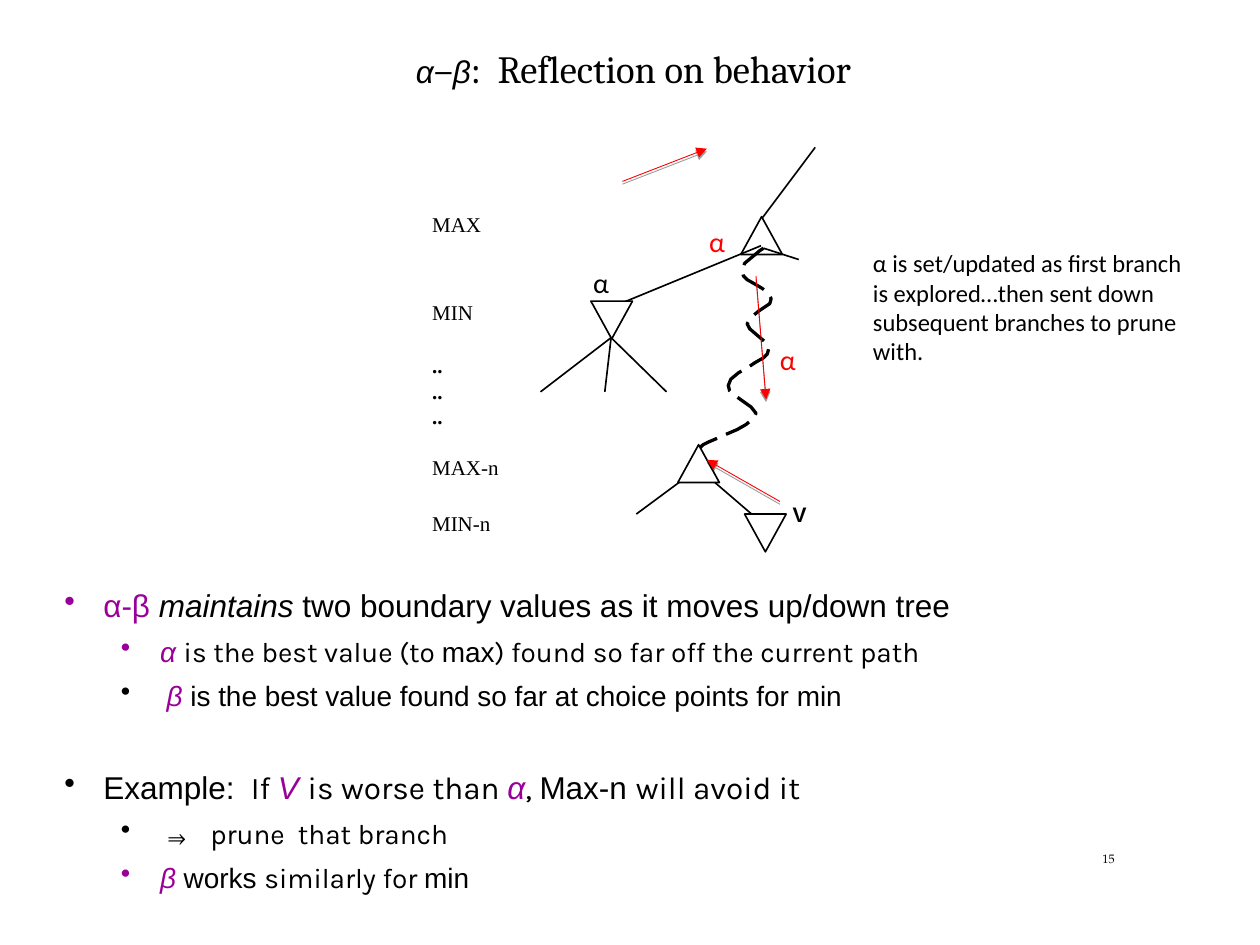
from pptx import Presentation
from pptx.dml.color import RGBColor
from pptx.enum.dml import MSO_LINE
from pptx.enum.shapes import MSO_CONNECTOR, MSO_SHAPE
from pptx.oxml import parse_xml
from pptx.oxml.ns import nsdecls
from pptx.util import Cm, Pt

BLACK = RGBColor(0x00, 0x00, 0x00)
WHITE = RGBColor(0xFF, 0xFF, 0xFF)
RED = RGBColor(0xFF, 0x00, 0x00)
PURPLE = RGBColor(0x99, 0x00, 0x99)

TRI_W, TRI_H = 0.33, 0.3
PADDED = (0.1, 0.05)


def inch(value):
    return Cm(2.54 * value)


def xml(body):
    """Parse a DrawingML element written without its namespace."""
    tag, rest = body.split(" ", 1)
    return parse_xml(f"{tag} {nsdecls('a')} {rest}")


def add_text(p, text, size=18, font="Arial", color=BLACK, italic=False, bold=False):
    """Add a formatted run; a newline becomes a line break."""
    for i, line in enumerate(text.split("\n")):
        if i:
            p.add_line_break()
        r = p.add_run()
        r.text = line
        r.font.size = Pt(size)
        r.font.name = font
        r.font.color.rgb = color
        r.font.italic = italic
        r.font.bold = bold


class TreeSlide:
    """Current slide and the line style of the game tree; lengths in inches."""

    line_width = 0.94
    arrow_width = 0.5
    curve_width = 1.87

    def __init__(self, slide):
        self.s = slide

    def box(self, x, y, w, h, inset=(0, 0), wrap=True):
        tf = self.s.shapes.add_textbox(inch(x), inch(y), inch(w), inch(h)).text_frame
        tf.word_wrap = wrap
        tf.margin_left = tf.margin_right = inch(inset[0])
        tf.margin_top = tf.margin_bottom = inch(inset[1])
        return tf

    def label(self, x, y, w, h, text, inset=(0, 0), wrap=True, **fmt):
        p = self.box(x, y, w, h, inset, wrap).paragraphs[0]
        add_text(p, text, **fmt)
        return p

    def alpha(self, x, y, color):
        self.label(x, y, 0.32, 0.36, "α", PADDED, False,
                   size=16, font="Calibri", color=color)

    def line(self, x1, y1, x2, y2, color=BLACK, width=line_width):
        c = self.s.shapes.add_connector(
            MSO_CONNECTOR.STRAIGHT, inch(x1), inch(y1), inch(x2), inch(y2))
        c.line.color.rgb = color
        c.line.width = Pt(width)
        effects = xml("<a:effectLst />")
        c._element.spPr.append(effects)
        return c, effects

    def arrow(self, x1, y1, x2, y2):
        """Red arrow with a soft grey shadow just below it."""
        c, effects = self.line(x1, y1, x2, y2, RED, self.arrow_width)
        c.line._get_or_add_ln().append(xml('<a:tailEnd type="triangle"/>'))
        effects.append(xml(
            '<a:outerShdw blurRad="0" dist="20000" dir="5400000" rotWithShape="0">'
            '<a:srgbClr val="000000"><a:alpha val="38000"/></a:srgbClr></a:outerShdw>'))

    def triangle(self, x, y, up=True, filled=True):
        kind = MSO_SHAPE.ISOSCELES_TRIANGLE if up else MSO_SHAPE.FLOWCHART_MERGE
        sp = self.s.shapes.add_shape(kind, inch(x), inch(y), inch(TRI_W), inch(TRI_H))
        sp.shadow.inherit = False
        if filled:
            sp.fill.solid()
            sp.fill.fore_color.rgb = WHITE
        else:
            sp.fill.background()
        sp.line.color.rgb = BLACK
        sp.line.width = Pt(self.line_width)

    def dashed_curve(self, points):
        pts = [(inch(x), inch(y)) for x, y in points]
        fb = self.s.shapes.build_freeform(*pts[0])
        fb.add_line_segments(pts[1:], close=False)
        sp = fb.convert_to_shape()
        sp.shadow.inherit = False
        sp.fill.background()
        sp.line.color.rgb = BLACK
        sp.line.width = Pt(self.curve_width)
        sp.line.dash_style = MSO_LINE.LONG_DASH

    def bullets(self, x, y, w, h, items):
        """Each item is (level, bullet colour, space before, runs)."""
        tf = self.box(x, y, w, h)
        for i, (level, color, before, runs) in enumerate(items):
            p = tf.add_paragraph() if i else tf.paragraphs[0]
            p.level = level
            p.space_before = Pt(before)
            pPr = p._p.get_or_add_pPr()
            pPr.set("marL", str(inch((0.32, 0.77)[level])))
            pPr.set("indent", str(inch(-0.31)))
            pPr.append(xml(f'<a:buClr ><a:srgbClr val="{color}"/></a:buClr>'))
            pPr.append(xml('<a:buChar char="•"/>'))
            for text, fmt in runs:
                add_text(p, text, size=(18, 16)[level], **fmt)


PLAIN = {}
ITALIC = {"italic": True}
KARLA = {"font": "Karla"}
GREEK = {"color": PURPLE, "italic": True}

BULLETS = [
    (0, PURPLE, 6, [("α-β ", {"color": PURPLE}), ("maintains", ITALIC),
                    (" two boundary values as it moves up/down tree", PLAIN)]),
    (1, PURPLE, 6, [("α ", GREEK), ("is the best value (to ", KARLA), ("max", PLAIN),
                    (") found so far off the current path", KARLA)]),
    (1, BLACK, 6, [(" ", KARLA), ("β", GREEK),
                   (" is the best value found so far at choice points for min", PLAIN)]),
    (0, BLACK, 32, [("Example: ", PLAIN), (" If ", KARLA), ("V ", GREEK),
                    ("is worse than ", KARLA), ("α", GREEK), (", ", KARLA),
                    ("Max-n ", PLAIN), ("will avoid it", KARLA)]),
    (1, BLACK, 6, [("⇒ ", {"font": "Noto Sans Mono"}), ("prune  that branch", KARLA)]),
    (1, PURPLE, 6, [("β ", GREEK), ("works ", PLAIN), ("similarly for ", KARLA),
                    ("min", PLAIN)]),
]

PATH_DOWN = [
    (6.06, 1.97), (6.03, 1.99), (5.97, 2.04), (5.91, 2.09), (5.89, 2.15), (5.9, 2.19),
    (5.93, 2.22), (6, 2.26), (6.05, 2.29), (6.09, 2.32), (6.12, 2.37), (6.11, 2.41),
    (6.08, 2.43), (6.02, 2.47), (5.96, 2.52), (5.93, 2.57), (5.95, 2.61), (6.02, 2.67),
    (6.08, 2.72), (6.1, 2.77), (6.09, 2.81), (6.06, 2.84), (5.99, 2.88), (5.93, 2.92),
    (5.86, 2.96), (5.8, 3.01), (5.78, 3.06), (5.79, 3.1), (5.82, 3.13), (5.89, 3.18),
    (5.96, 3.23), (6, 3.28), (5.98, 3.32), (5.92, 3.37), (5.85, 3.41), (5.78, 3.44),
    (5.69, 3.48), (5.62, 3.51), (5.58, 3.53), (5.54, 3.57),
]

BRANCHES = [
    (6.05, 1.73, 6.47, 1.17), (6.06, 1.97, 6.34, 2.06), (6.04, 1.95, 4.85, 2.44),
    (4.85, 2.68, 4.29, 3.11), (4.85, 2.68, 4.8, 3.11), (4.85, 2.68, 5.29, 3.11),
    (5.51, 3.74, 5.05, 4.08), (5.57, 3.74, 6, 4.11),
]


def main():
    prs = Presentation()
    prs.slide_width, prs.slide_height = inch(10), inch(7.5)
    tree = TreeSlide(prs.slides.add_slide(prs.slide_layouts[6]))

    p = tree.box(1.17, 0.42, 7.68, 1.25).paragraphs[0]
    p.line_spacing = Pt(21.8)
    p._p.get_or_add_pPr().set("marL", str(inch(2.13)))
    for text, fmt in [("α", ITALIC), ("–", {"size": 22, "font": "Cambria"}), ("β", ITALIC),
                      (":  Reflection on behavior", {"size": 22, "font": "Cambria"})]:
        add_text(p, text, **fmt)

    tree.label(8.75, 6.76, 0.16, 0.15, "15", size=7, font="TeX Gyre Pagella")
    tree.bullets(0.5, 4.65, 7.92, 2.43, BULLETS)

    tree.dashed_curve(PATH_DOWN)
    for branch in BRANCHES:
        tree.line(*branch)
    tree.triangle(5.88, 1.72, filled=False)
    tree.triangle(4.69, 2.39, up=False)
    tree.triangle(5.38, 3.53)
    tree.triangle(5.91, 4.08, up=False)

    times = {"size": 12, "font": "Times New Roman"}
    tree.label(3.43, 1.68, 0.41, 0.2, "MAX", **times)
    tf = tree.box(3.43, 2.38, 0.61, 1.39)
    levels = [("MIN", 0), ("..", 15.5), ("..", 0.5), ("..", 0), ("MAX-n", 15)]
    for i, (text, before) in enumerate(levels):
        p = tf.add_paragraph() if i else tf.paragraphs[0]
        p.space_before = Pt(before)
        add_text(p, text, bold=text == "..", **times)
    tree.label(3.43, 4.05, 0.53, 0.2, "MIN-n", **times)
    tree.label(6.29, 3.98, 0.13, 0.2, "V", size=12, bold=True)

    for x, y, color in [(4.61, 2.06, BLACK), (5.53, 1.73, RED), (6.09, 2.67, RED)]:
        tree.alpha(x, y, color)
    for ends in [(4.94, 1.44, 5.61, 1.18), (6.19, 3.98, 5.61, 3.65), (6, 2.19, 6.08, 3.17)]:
        tree.arrow(*ends)

    tree.label(6.83, 1.92, 3, 1.03,
               "α is set/updated as first branch\nis explored…then sent down\n"
               "subsequent branches to prune with.", PADDED, size=14, font="Calibri")
    prs.save("out.pptx")


if __name__ == "__main__":
    main()
